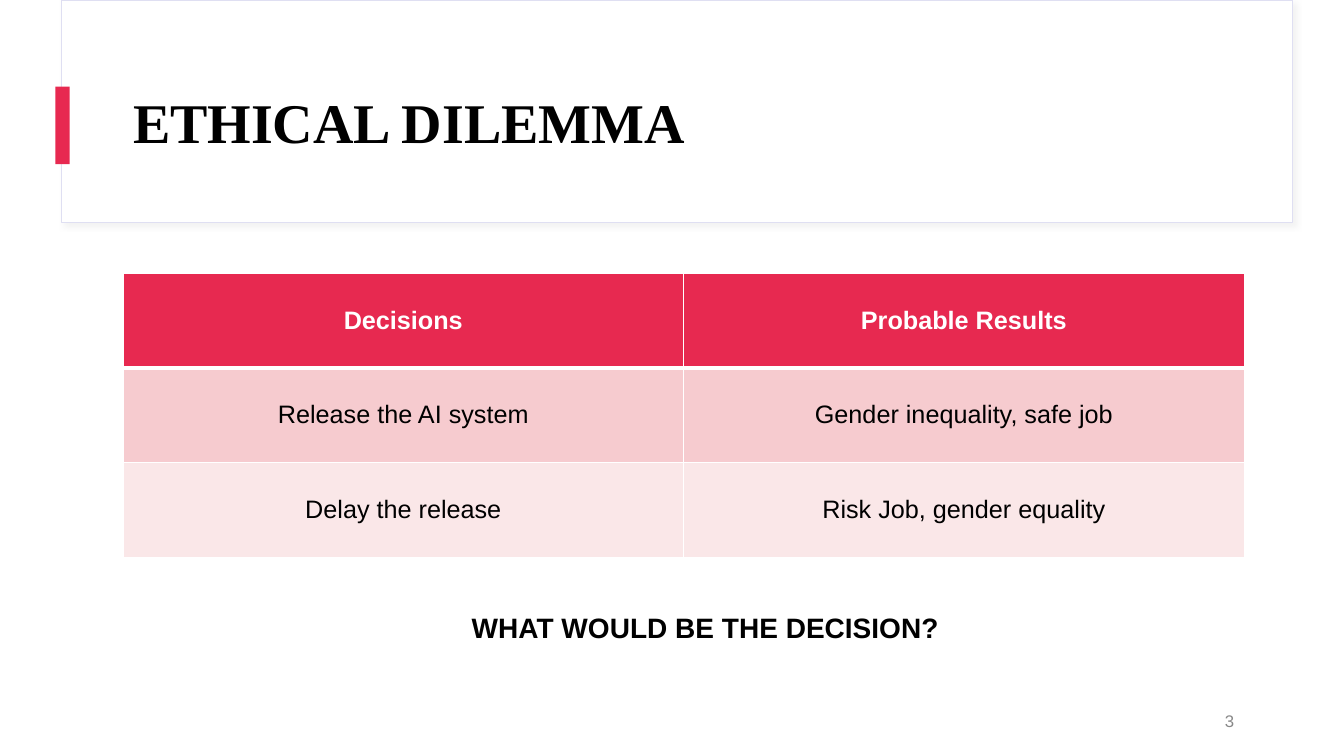
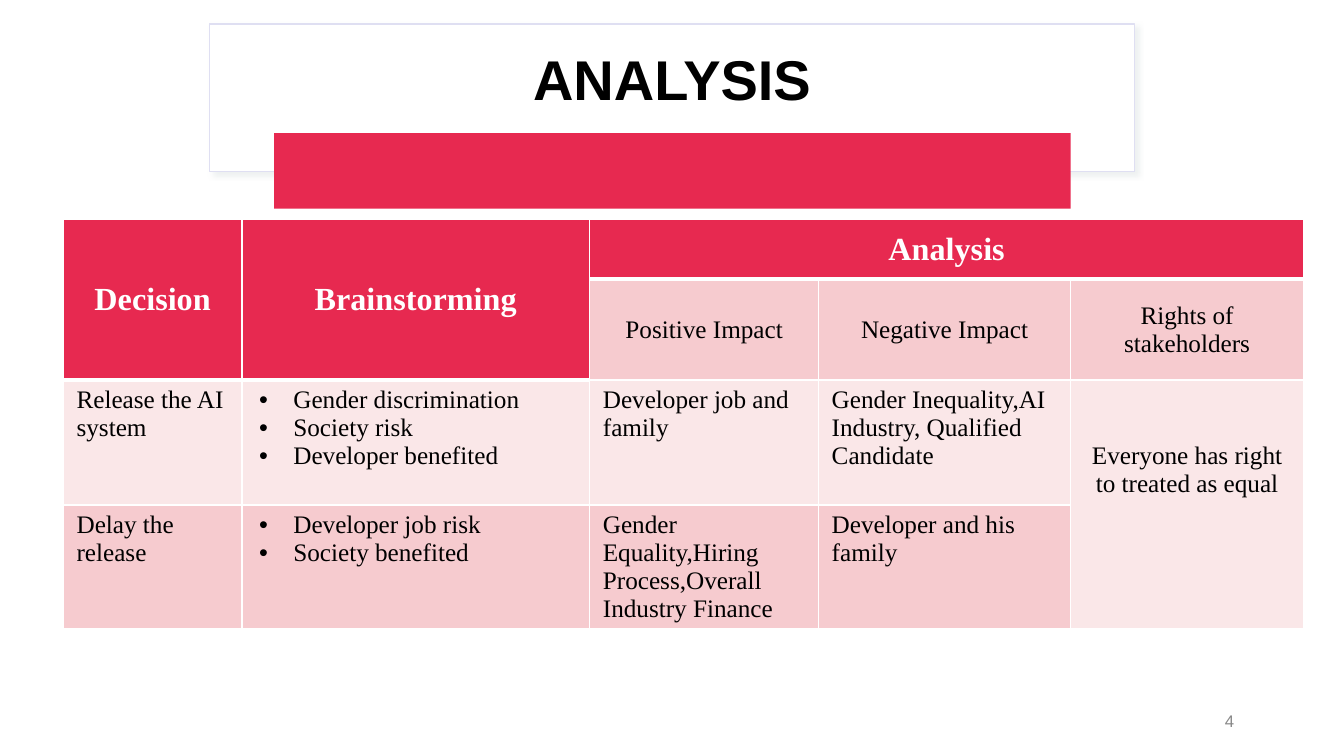
from lxml import etree
from pptx import Presentation
from pptx.dml.color import RGBColor
from pptx.enum.shapes import MSO_SHAPE
from pptx.enum.text import MSO_ANCHOR, MSO_AUTO_SIZE, PP_ALIGN
from pptx.oxml.ns import qn
from pptx.util import Inches, Pt

RECTANGLE = MSO_SHAPE.RECTANGLE
LEFT, CENTER, RIGHT = PP_ALIGN.LEFT, PP_ALIGN.CENTER, PP_ALIGN.RIGHT
TOP, MIDDLE = MSO_ANCHOR.TOP, MSO_ANCHOR.MIDDLE
NO_AUTOFIT = MSO_AUTO_SIZE.NONE

WHITE = RGBColor(0xFF, 0xFF, 0xFF)
BLACK = RGBColor(0, 0, 0)
GREY = RGBColor(0x88, 0x88, 0x88)
CRIMSON = RGBColor(0xE7, 0x29, 0x50)
ROSE = RGBColor(0xF6, 0xCB, 0xCF)
BLUSH = RGBColor(0xFA, 0xE7, 0xE8)
LAVENDER = RGBColor(0xDF, 0xDF, 0xF2)
SHADOW_GREY = RGBColor(0xD8, 0xD8, 0xD8)
SHADOW_TEAL = RGBColor(0xC7, 0xD2, 0xD2)
SANS, SERIF = "Arial", "Times New Roman"

DILEMMA = [
    ["Decisions", "Probable Results"],
    ["Release the AI system", "Gender inequality, safe job"],
    ["Delay the release", "Risk Job, gender equality"],
]
QUESTION = "WHAT WOULD BE THE DECISION?"

# None marks a cell covered by a merge; a list becomes bullets.
ANALYSIS = [
    ["Decision", "Brainstorming", "Analysis", None, None],
    [None, None, "Positive Impact", "Negative Impact", "Rights of stakeholders"],
    ["Release the AI system",
     ["Gender discrimination", "Society risk", "Developer benefited"],
     "Developer job and family",
     "Gender Inequality,AI Industry, Qualified Candidate",
     "Everyone has right to treated as equal"],
    ["Delay the release",
     ["Developer job risk", "Society benefited"],
     "Gender Equality,Hiring Process,Overall Industry Finance",
     "Developer and his family",
     None],
]
ANALYSIS_MERGES = [((0, 0), (1, 0)), ((0, 1), (1, 1)), ((0, 2), (0, 4)), ((2, 4), (3, 4))]
RIGHTS_CELL = (2, 4)


def inches(*lengths):
    return [Inches(length) for length in lengths]


def write(frame, content, font=SANS, size=18, color=BLACK, bold=False,
          align=LEFT, line_spacing=None):
    """Fill a text frame with a string, or with a list as bullets."""
    bulleted = isinstance(content, list)
    frame.word_wrap = True
    for index, line in enumerate(content if bulleted else [content]):
        paragraph = frame.add_paragraph() if index else frame.paragraphs[0]
        paragraph.alignment = align
        if line_spacing:
            paragraph.line_spacing = line_spacing
        if bulleted:
            properties = paragraph._p.get_or_add_pPr()
            properties.set("marL", str(Inches(0.38)))
            properties.set("indent", str(Inches(-0.34)))
            etree.SubElement(properties, qn("a:buFont"), typeface=SANS)
            etree.SubElement(properties, qn("a:buChar"), char="•")
        run = paragraph.add_run()
        run.text = line
        run.font.name, run.font.size, run.font.bold = font, Pt(size), bold
        run.font.color.rgb = color


def add_box(slide, at, fill, line=None, line_width=0.75, shadow=None):
    box = slide.shapes.add_shape(RECTANGLE, *inches(*at))
    box.shadow.inherit = False
    box.fill.solid()
    box.fill.fore_color.rgb = fill
    if line is None:
        box.line.fill.background()
    else:
        box.line.color.rgb = line
        box.line.width = Pt(line_width)
    if shadow is not None:
        effects = box._element.spPr.find(qn("a:effectLst"))
        outer = etree.SubElement(effects, qn("a:outerShdw"), blurRad=str(Pt(4)),
                                 dist=str(Pt(3)), dir="2700000", algn="tl", rotWithShape="0")
        tint = etree.SubElement(outer, qn("a:srgbClr"), val=str(shadow))
        etree.SubElement(tint, qn("a:alpha"), val="30000")


def add_text(slide, at, text, anchor=TOP, **text_format):
    frame = slide.shapes.add_textbox(*inches(*at)).text_frame
    frame.vertical_anchor = anchor
    write(frame, text, **text_format)


def set_title(slide, at, text, **text_format):
    title = slide.shapes.title
    title.left, title.top, title.width, title.height = inches(*at)
    slide.shapes._spTree.append(title._element)  # in front of its card
    title.text_frame.auto_size = NO_AUTOFIT
    title.text_frame.vertical_anchor = MIDDLE
    write(title.text_frame, text, size=40, bold=True, line_spacing=0.9, **text_format)


def add_page_number(slide, number):
    add_text(slide, (9.34, 6.95, 3, 0.4), str(number), anchor=MIDDLE,
             size=12, color=GREY, align=RIGHT)


def add_grid(slide, corner, widths, heights, rows, row_fills, merges=()):
    """Add a table with its sizes, merges and fills; the texts come later."""
    table = slide.shapes.add_table(len(rows), len(widths), *inches(
        *corner, sum(widths), sum(heights))).table
    for column, width in zip(table.columns, widths):
        column.width = Inches(width)
    for row, height in zip(table.rows, heights):
        row.height = Inches(height)
    for start, end in merges:
        table.cell(*start).merge(table.cell(*end))
    for r, fill in enumerate(row_fills):
        for c in range(len(widths)):
            cell = table.cell(r, c)
            cell.fill.solid()
            cell.fill.fore_color.rgb = fill
            if r == 0:
                add_bottom_rule(cell)
    return table


def add_bottom_rule(cell):
    properties = cell._tc.get_or_add_tcPr()
    rule = etree.Element(qn("a:lnB"), w=str(Pt(3)))
    paint = etree.SubElement(rule, qn("a:solidFill"))
    etree.SubElement(paint, qn("a:srgbClr"), val=str(WHITE))
    properties.insert(0, rule)


def fill_cell(cell, content, side, edge, anchor, **text_format):
    cell.margin_left = cell.margin_right = Inches(side)
    cell.margin_top = cell.margin_bottom = Inches(edge)
    cell.vertical_anchor = anchor
    write(cell.text_frame, content, **text_format)


def build_dilemma(slide):
    add_box(slide, (0.61, 0, 12.21, 2.21), WHITE, line=LAVENDER, shadow=SHADOW_GREY)
    add_box(slide, (0.55, 0.86, 0.14, 0.77), CRIMSON)
    set_title(slide, (1.22, 0.6, 11.12, 1.29), "ETHICAL DILEMMA", font=SERIF, align=LEFT)
    table = add_grid(slide, (1.22, 2.71), [5.56] * 2, [0.94] * 3, DILEMMA,
                     [CRIMSON, ROSE, BLUSH])
    for r, row in enumerate(DILEMMA):
        for c, text in enumerate(row):
            fill_cell(table.cell(r, c), text, 0.1, 0.05, MIDDLE, align=CENTER,
                      bold=r == 0, color=BLACK if r else WHITE)
    add_text(slide, (4.58, 6.01, 4.88, 0.44), QUESTION, size=20, bold=True)


def build_analysis(slide):
    add_box(slide, (2.08, 0.24, 9.17, 1.46), WHITE, line=LAVENDER, line_width=1,
            shadow=SHADOW_TEAL)
    set_title(slide, (2.3, 0.34, 8.73, 0.95), "ANALYSIS", align=CENTER)
    add_box(slide, (2.72, 1.32, 7.9, 0.75), CRIMSON)
    table = add_grid(slide, (0.63, 2.18), [1.77, 3.45, 2.27, 2.5, 2.31],
                     [0.59, 1, 1.24, 1.23], ANALYSIS, [CRIMSON, ROSE, BLUSH, ROSE],
                     ANALYSIS_MERGES)
    for r, row in enumerate(ANALYSIS):
        for c, content in enumerate(row):
            if content is None:
                continue
            cell = table.cell(r, c)
            if r == 0:
                fill_cell(cell, content, 0.13, 0.07, MIDDLE, font=SERIF, size=23,
                          bold=True, color=WHITE, align=CENTER)
            elif r == 1:
                fill_cell(cell, content, 0.13, 0.07, MIDDLE, font=SERIF, align=CENTER)
            else:
                fill_cell(cell, content, 0.13, 0.06, TOP, font=SERIF,
                          align=CENTER if (r, c) == RIGHTS_CELL else LEFT)
    add_bottom_rule(table.cell(1, 0))
    add_bottom_rule(table.cell(1, 1))
    table.cell(*RIGHTS_CELL).margin_top = Inches(0.62)


def main():
    deck = Presentation()
    deck.slide_width, deck.slide_height = inches(13.33, 7.5)
    title_only = deck.slide_layouts[5]
    for number, build in enumerate([build_dilemma, build_analysis], start=3):
        slide = deck.slides.add_slide(title_only)
        build(slide)
        add_page_number(slide, number)
    deck.save("out.pptx")


if __name__ == "__main__":
    main()
